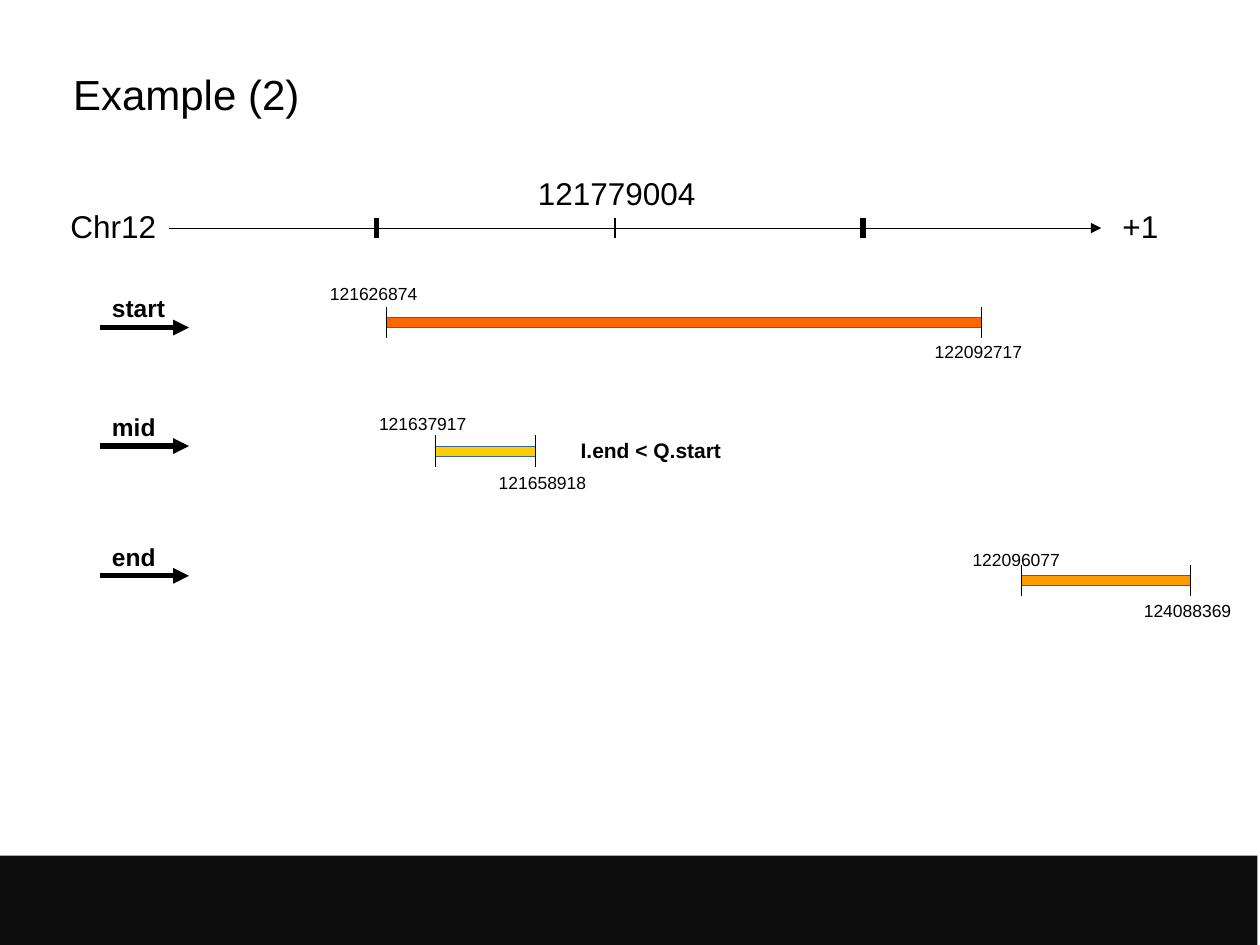
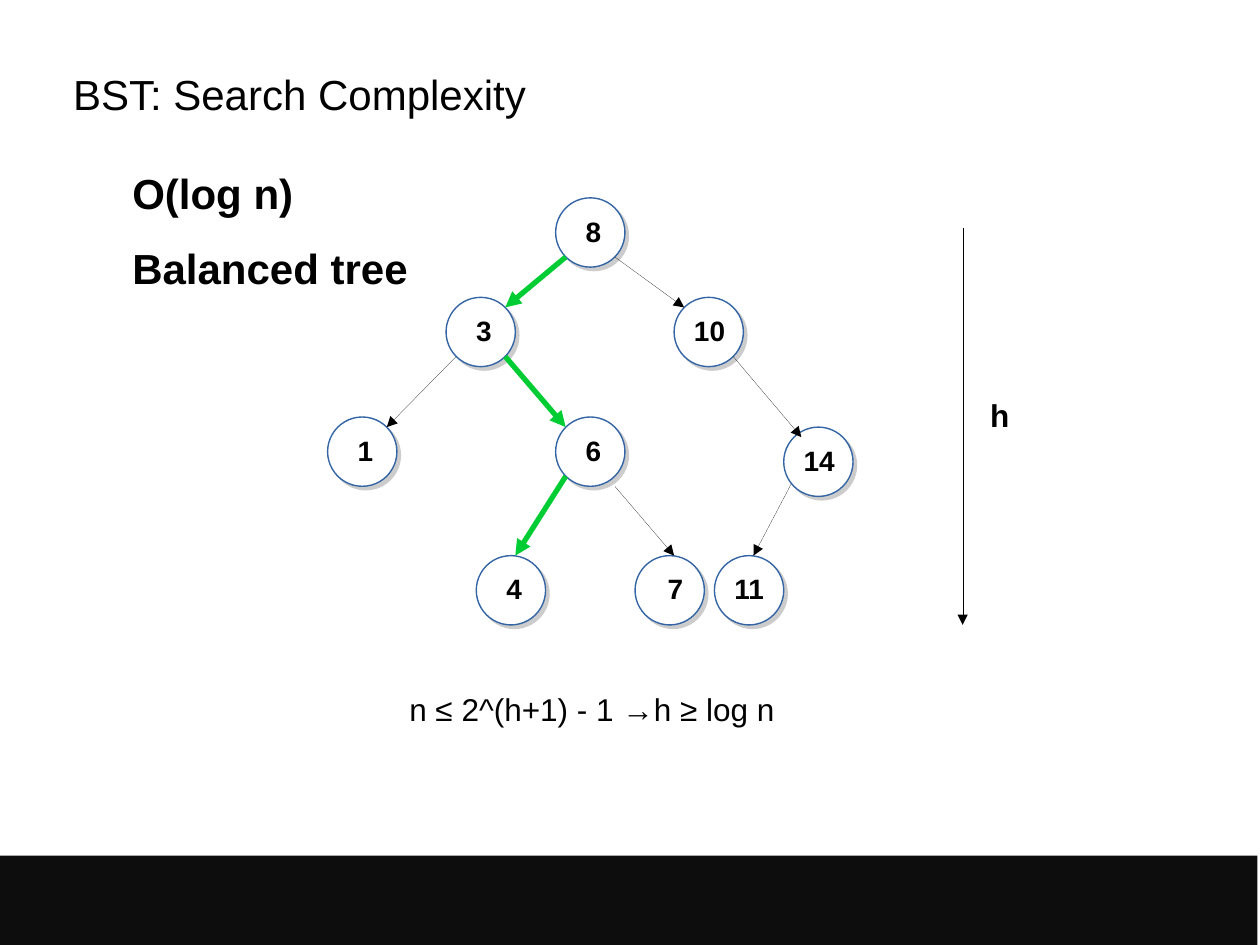
"""Build two slides: an interval search example and BST search complexity."""
from lxml import etree
from pptx import Presentation
from pptx.dml.color import RGBColor
from pptx.enum.shapes import MSO_CONNECTOR, MSO_SHAPE
from pptx.enum.text import MSO_ANCHOR, MSO_AUTO_SIZE, PP_ALIGN
from pptx.oxml import parse_xml
from pptx.oxml.ns import nsdecls, qn
from pptx.util import Inches, Pt

BLACK = RGBColor(0x00, 0x00, 0x00)
WHITE = RGBColor(0xFF, 0xFF, 0xFF)
BAND = RGBColor(0x0D, 0x0D, 0x0D)
OUTLINE = RGBColor(0x34, 0x65, 0xA4)
PATH_GREEN = RGBColor(0x00, 0xCC, 0x33)
RED_ORANGE = RGBColor(0xFF, 0x66, 0x00)
YELLOW = RGBColor(0xFF, 0xCC, 0x00)
ORANGE = RGBColor(0xFF, 0x99, 0x00)
FONT = "Arial"
TITLE_ONLY, TITLE_AND_BODY = 5, 1

AXIS_Y = 1.81
AXIS_TICKS = [(2.99, 3), (4.88, 1.5), (6.85, 3)]
AXIS_LABELS = [("121779004", 4.17, 1.33, 1.45), ("Chr12", 0.46, 1.59, 0.88),
               ("+1", 8.81, 1.59, 0.5)]
STEPS = [("start", 2.60, 0.62), ("mid", 3.54, 0.56), ("end", 4.57, 0.56)]
INTERVALS = [
    {"bar": (3.07, 2.52, 4.72), "color": RED_ORANGE,
     "labels": [("121626874", 2.52, 2.20), ("122092717", 7.32, 2.66)]},
    {"bar": (3.46, 3.54, 0.79), "color": YELLOW,
     "labels": [("121637917", 2.91, 3.23), ("121658918", 3.86, 3.70)]},
    {"bar": (8.11, 4.57, 1.34), "color": ORANGE,
     "labels": [("122096077", 7.62, 4.31), ("124088369", 8.98, 4.71)]},
]

CLAIMS = ["O(log n)", "Balanced tree"]
NODE_SIZE = 0.55
NODES = {8: (4.41, 1.57), 3: (3.54, 2.36), 10: (5.35, 2.36), 1: (2.60, 3.31),
         6: (4.41, 3.31), 14: (6.22, 3.39), 4: (3.78, 4.41), 7: (5.04, 4.41),
         11: (5.67, 4.41)}
LABEL_INSETS = {7: 0.16, 10: 0.06, 11: 0.06, 14: 0.06}
UPPER_LEFT, UPPER_RIGHT = (0.08, 0.08), (0.47, 0.08)
LOWER_LEFT, LOWER_RIGHT = (0.08, 0.47), (0.47, 0.47)
TOP = (0.31, 0)
EDGES = [(8, LOWER_LEFT, 3, UPPER_RIGHT), (8, LOWER_RIGHT, 10, UPPER_LEFT),
         (3, LOWER_LEFT, 1, UPPER_RIGHT), (3, LOWER_RIGHT, 6, UPPER_LEFT),
         (10, LOWER_RIGHT, 14, (0.14, 0.08)), (6, LOWER_LEFT, 4, TOP),
         (6, (0.47, 0.55), 7, TOP), (14, (0.06, 0.45), 11, TOP)]
SEARCH_PATH = [8, 3, 6, 4]


def style(para, size, bold=False):
    para.font.name = FONT
    para.font.size = Pt(size)
    para.font.bold = bold
    para.font.color.rgb = BLACK


def place(shape, left, top, width, height):
    shape.left, shape.top = Inches(left), Inches(top)
    shape.width, shape.height = Inches(width), Inches(height)


def reset_frame(frame, anchor):
    frame.margin_left = frame.margin_right = frame.margin_top = frame.margin_bottom = 0
    frame.vertical_anchor = anchor
    frame.auto_size = MSO_AUTO_SIZE.NONE


def set_line(shape, color, width):
    """Write the width out even when it is zero, so the theme width is not used."""
    shape.line.color.rgb = color
    outline = shape._element.spPr.find(qn("a:ln"))
    outline.set("w", str(Pt(width)))
    return outline


def add_figure(page, kind, box, fill, line_width=None):
    shape = page.shapes.add_shape(kind, *map(Inches, box))
    shape.shadow.inherit = False
    shape.fill.solid()
    shape.fill.fore_color.rgb = fill
    if line_width is None:
        shape.line.fill.background()
    else:
        set_line(shape, OUTLINE, line_width)
    return shape


def add_line(page, start, end, width=0, color=BLACK, arrow=False):
    line = page.shapes.add_connector(MSO_CONNECTOR.STRAIGHT, *map(Inches, (*start, *end)))
    outline = set_line(line, color, width)
    if arrow:
        etree.SubElement(outline, qn("a:tailEnd"), type="triangle")
    etree.SubElement(line._element.spPr, qn("a:effectLst"))


def add_label(page, text, left, top, width, size, bold=False, wrap=False):
    height = size / 72 * 1.15 + 0.1
    box = page.shapes.add_textbox(*map(Inches, (left, top, width, height)))
    frame = box.text_frame
    frame.word_wrap = wrap
    frame.auto_size = MSO_AUTO_SIZE.SHAPE_TO_FIT_TEXT
    frame.text = text
    style(frame.paragraphs[0], size, bold)


def add_page(deck, layout, title_text):
    page = deck.slides.add_slide(deck.slide_layouts[layout])
    add_figure(page, MSO_SHAPE.RECTANGLE, (-0.02, 6.79, 10, 0.71), BAND)
    title = page.shapes.title
    place(title, 0.58, 0.33, 8.92, 0.83)
    title.text_frame.text = title_text
    reset_frame(title.text_frame, MSO_ANCHOR.MIDDLE)
    para = title.text_frame.paragraphs[0]
    para.alignment = PP_ALIGN.LEFT
    style(para, 24)
    return page


def add_interval(page, bar, color, labels):
    left, top, width = bar
    add_figure(page, MSO_SHAPE.RECTANGLE, (left, top, width, 0.08), color, 0)
    for x in (left, left + width):
        add_line(page, (x, top - 0.08), (x, top + 0.16))
    for text, label_left, label_top in labels:
        add_label(page, text, label_left, label_top, 0.89, 10)


def build_example(deck):
    page = add_page(deck, TITLE_ONLY, "Example (2)")
    add_line(page, (1.34, AXIS_Y), (8.74, AXIS_Y), arrow=True)
    for x, width in AXIS_TICKS:
        add_line(page, (x, AXIS_Y - 0.08), (x, AXIS_Y + 0.08), width)
    for text, left, top, width in AXIS_LABELS:
        add_label(page, text, left, top, width, 18)
    for interval in INTERVALS:
        add_interval(page, **interval)
    for name, y, width in STEPS:
        add_line(page, (0.79, y), (1.5, y), 3, arrow=True)
        add_label(page, name, 0.79, y - 0.32, width, 14, bold=True)
    add_label(page, "I.end < Q.start", 4.51, 3.42, 1.32, 12, bold=True)


def add_claims(page):
    body = page.placeholders[1]
    place(body, 0.58, 1.33, 8.92, 4.76)
    frame = body.text_frame
    frame.text = "\n".join(CLAIMS)
    reset_frame(frame, MSO_ANCHOR.TOP)
    for index, para in enumerate(frame.paragraphs):
        props = para._p.get_or_add_pPr()
        props.set("marL", str(Inches(0.47)))
        props.set("indent", "0")
        etree.SubElement(props, qn("a:buNone"))
        para.space_before = Pt(14.2 if index else 0)
        style(para, 24, bold=True)


def add_node(page, key, left, top):
    circle = add_figure(page, MSO_SHAPE.OVAL, (left, top, NODE_SIZE, NODE_SIZE), WHITE, 0.79)
    effects = circle._element.spPr.find(qn("a:effectLst"))
    effects.append(parse_xml(
        f'<a:outerShdw {nsdecls("a")} blurRad="0" dist="{Pt(2.8)}" dir="2700000">'
        '<a:srgbClr val="CCCCCC"/></a:outerShdw>'))
    inset = LABEL_INSETS.get(key, 0.14)
    width = 0.34 if key < 10 else 0.57
    add_label(page, str(key), left + inset, top + 0.08, width, 16, bold=True, wrap=True)


def node_point(key, offset):
    return tuple(corner + shift for corner, shift in zip(NODES[key], offset))


def build_tree(deck):
    page = add_page(deck, TITLE_AND_BODY, "BST: Search Complexity")
    add_claims(page)
    for key, (left, top) in NODES.items():
        add_node(page, key, left, top)
    steps = set(zip(SEARCH_PATH, SEARCH_PATH[1:]))
    for parent, start, child, end in EDGES:
        width, color = (3, PATH_GREEN) if (parent, child) in steps else (0, BLACK)
        add_line(page, node_point(parent, start), node_point(child, end), width, color, arrow=True)
    add_line(page, (7.64, 1.81), (7.64, 4.96), arrow=True)
    add_label(page, "h", 7.76, 3.09, 0.35, 18, bold=True)
    add_label(page, "n ≤ 2^(h+1) - 1 →h ≥ log n", 3.15, 5.43, 3.17, 18)


def main():
    deck = Presentation()
    deck.slide_width, deck.slide_height = Inches(10), Inches(7.5)
    build_example(deck)
    build_tree(deck)
    deck.save("out.pptx")


if __name__ == "__main__":
    main()
